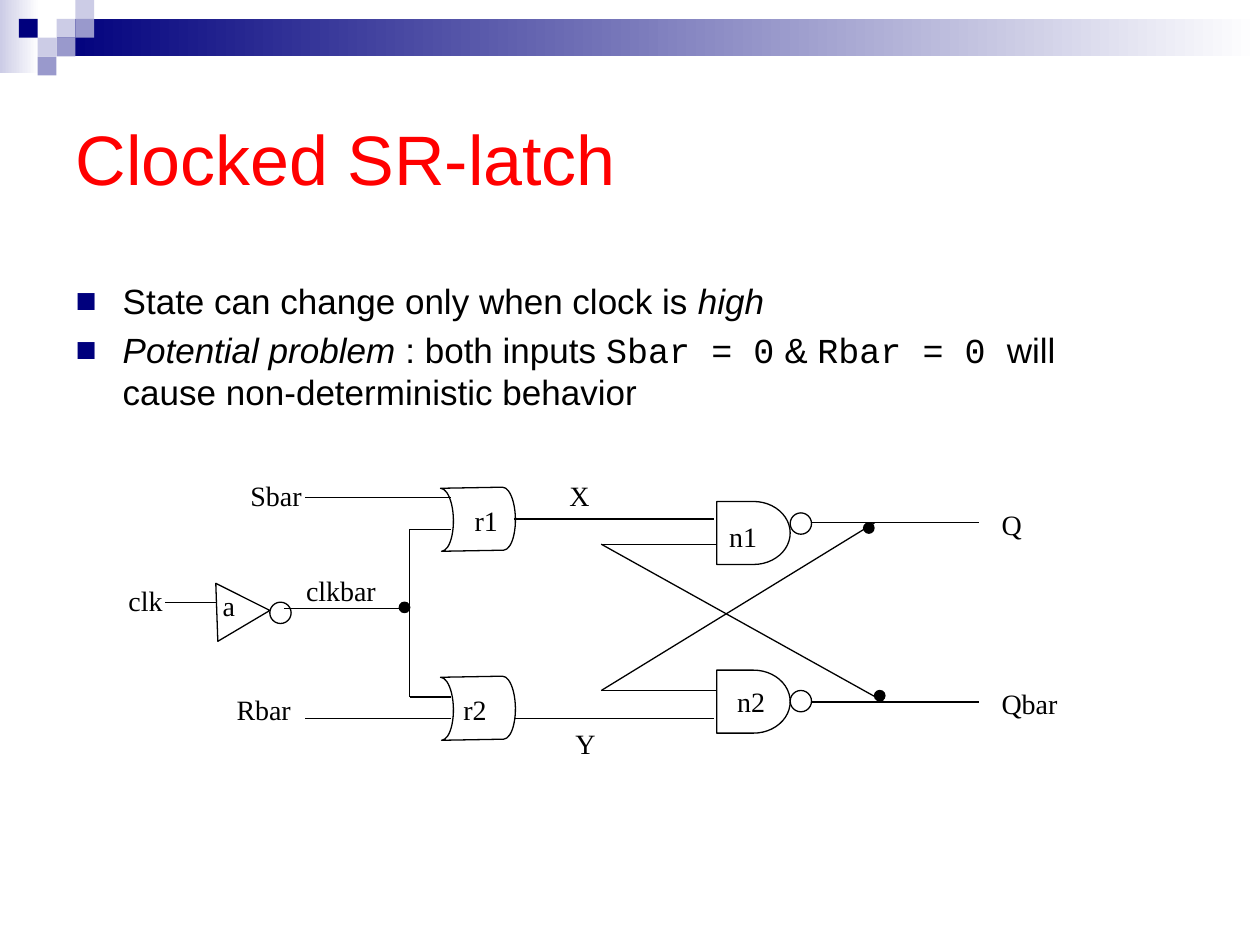
from lxml.etree import SubElement as Sub
from pptx import Presentation
from pptx.dml.color import RGBColor as Rgb
from pptx.enum.shapes import MSO_CONNECTOR as Link, MSO_SHAPE as Form
from pptx.enum.text import MSO_ANCHOR as Anchor, PP_ALIGN as Align
from pptx.oxml.ns import qn
from pptx.util import Cm, Pt

COLORS = {"navy": "00007D", "mid": "9999CC", "pale": "CCCCE6",
          "white": "FFFFFF", "black": "000000", "red": "FF0000"}
SERIF, SANS, MONO = "Times New Roman", "Arial", "Courier New"
CELL = 0.38     # side of a corner square
BUBBLE = 0.43   # inverter circle
DOT = 0.21      # wire junction


def color(name):
    return Rgb.from_string(COLORS[name])


def write(par, text, size=16, font=SERIF, tint="black", italic=False):
    run = par.add_run()
    run.text = text
    run.font.size = Pt(size)
    run.font.name = font
    run.font.italic = italic
    run.font.color.rgb = color(tint)


def place(shape, left, top, width, height):
    shape.left, shape.top = Cm(left), Cm(top)
    shape.width, shape.height = Cm(width), Cm(height)


def block(slide, form, left, top, width, height, fill=None, line=None, turn=0):
    shape = slide.shapes.add_shape(form, Cm(left), Cm(top), Cm(width), Cm(height))
    shape.shadow.inherit = False
    shape.rotation = turn
    if fill:
        shape.fill.solid()
        shape.fill.fore_color.rgb = color(fill)
    else:
        shape.fill.background()
    if line:
        shape.line.color.rgb = color(line)
        shape.line.width = Pt(0.75)
    else:
        shape.line.fill.background()
    return shape


def fade(slide, left, top, width, height, start):
    fill = block(slide, Form.RECTANGLE, left, top, width, height).fill
    fill.gradient()
    fill.gradient_angle = 0
    for stop, name, spot in zip(fill.gradient_stops, (start, "white"), (0, 1)):
        stop.color.rgb = color(name)
        stop.position = spot


def wire(slide, x1, y1, x2, y2):
    line = slide.shapes.add_connector(Link.STRAIGHT, Cm(x1), Cm(y1), Cm(x2), Cm(y2))
    line.line.color.rgb = color("black")
    line.line.width = Pt(0.75)
    Sub(line._element.spPr, qn("a:effectLst"))


def label(slide, text, left, top, width):
    box = slide.shapes.add_textbox(Cm(left), Cm(top), Cm(width), Cm(0.94))
    box.text_frame.word_wrap = True
    write(box.text_frame.paragraphs[0], text)


def bullet(par):
    props = par._p.get_or_add_pPr()
    props.set("marL", str(Cm(0.95)))
    props.set("indent", str(-Cm(0.95)))
    Sub(Sub(props, qn("a:buClr")), qn("a:srgbClr"), val=COLORS["navy"])
    Sub(props, qn("a:buFont"), typeface=SANS)
    Sub(props, qn("a:buChar"), char="■")


def header(slide):
    fade(slide, 0, 0, 0.79, 1.47, "pale")
    fade(slide, 1.14, 0.38, 24.26, 0.76, "navy")
    for col, row, tint in [(3, 1, "pale"), (4, 0, "pale"), (4, 1, "mid"),
                           (2, 2, "pale"), (1, 1, "navy"), (3, 2, "mid"),
                           (2, 3, "mid")]:
        block(slide, Form.RECTANGLE, col * CELL, row * CELL, CELL, CELL, fill=tint)


def words(slide):
    title, body = slide.placeholders
    place(title, 1.27, 1.27, 22.86, 3.81)
    title.text_frame.vertical_anchor = Anchor.MIDDLE
    head = title.text_frame.paragraphs[0]
    head.alignment = Align.LEFT
    write(head, "Clocked SR-latch", size=40, font=SANS, tint="red")

    place(body, 1.27, 5.51, 21.39, 10.8)
    frame = body.text_frame
    items = [
        [("State can change only when clock is ", {}), ("high", {"italic": True})],
        [("Potential problem ", {"italic": True}), (": both inputs ", {}),
         ("Sbar = 0", {"font": MONO}), (" & ", {}), ("Rbar = 0 ", {"font": MONO}),
         ("will cause non-deterministic behavior", {})],
    ]
    for num, item in enumerate(items):
        par = frame.add_paragraph() if num else frame.paragraphs[0]
        par.space_before = Pt(4 * num)
        bullet(par)
        for text, style in item:
            write(par, text, **{"size": 20, "font": SANS, **style})


def gates(slide):
    # OR gates, then NAND gates
    for top in (9.83, 13.64):
        block(slide, Form.FLOWCHART_STORED_DATA, 8.89, top, 1.5, 1.27,
              line="black", turn=179)
    for top in (10.11, 13.51):
        block(slide, Form.FLOWCHART_DELAY, 14.45, top, 1.48, 1.27, line="black")
    # Clock inverter
    block(slide, Form.ISOSCELES_TRIANGLE, 4.32, 11.79, 1.17, 1.07,
          line="black", turn=88)
    for left, top in [(15.93, 10.34), (15.93, 13.92), (5.44, 12.14)]:
        block(slide, Form.OVAL, left, top, BUBBLE, BUBBLE, line="black")
    for left, top in [(17.63, 13.92), (17.41, 10.54), (8.05, 12.14)]:
        block(slide, Form.OVAL, left, top, DOT, DOT, fill="black", line="black")


def wires(slide):
    for ends in [
        # Clock and its inverse
        (3.33, 12.14, 4.37, 12.14), (8.05, 12.27, 5.72, 12.27),
        (8.26, 10.67, 8.26, 14.05),
        (8.26, 10.67, 9.09, 10.67), (8.26, 14.05, 9.09, 14.05),
        # Inputs
        (6.15, 10.03, 9.09, 10.03), (6.15, 14.48, 9.09, 14.48),
        # X and Y
        (10.36, 10.46, 14.4, 10.46), (10.36, 14.48, 14.4, 14.48),
        # Outputs
        (16.36, 10.54, 19.74, 10.54), (16.36, 14.15, 19.74, 14.15),
        # Cross feedback
        (17.83, 14.15, 12.12, 10.97), (12.12, 10.97, 14.45, 10.97),
        (17.63, 10.54, 12.12, 13.92), (12.12, 13.92, 14.45, 13.92),
    ]:
        wire(slide, *ends)


def names(slide):
    for text, left, top, width in [
        ("Sbar", 4.8, 9.53, 1.55), ("Rbar", 4.52, 13.84, 1.6),
        ("clk", 2.34, 11.63, 1.19), ("clkbar", 5.92, 11.43, 1.93),
        ("a", 4.24, 11.73, 0.76), ("r1", 9.32, 10.03, 0.99),
        ("r2", 9.09, 13.84, 0.99), ("X", 11.23, 9.53, 0.91),
        ("Y", 11.35, 14.53, 0.91), ("n1", 14.45, 10.34, 1.07),
        ("n2", 14.61, 13.67, 1.07), ("Q", 19.94, 10.11, 0.91),
        ("Qbar", 19.94, 13.72, 1.65),
    ]:
        label(slide, text, left, top, width)


def main():
    deck = Presentation()
    deck.slide_width, deck.slide_height = Cm(25.4), Cm(19.05)
    slide = deck.slides.add_slide(deck.slide_layouts[1])
    for part in (header, words, gates, wires, names):
        part(slide)
    deck.save("out.pptx")


if __name__ == "__main__":
    main()
